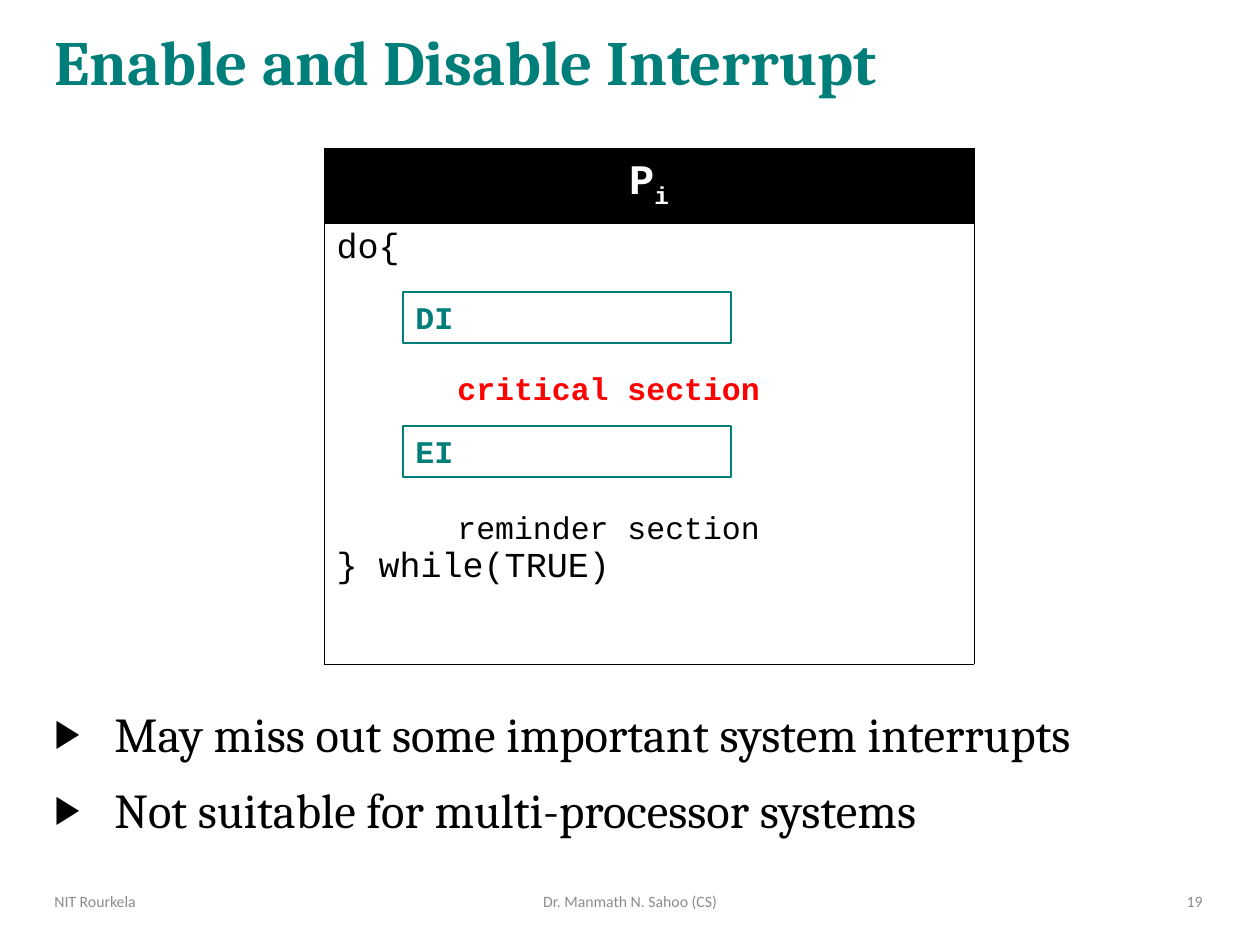
import pptx
import pptx.dml.color
import pptx.enum.shapes
import pptx.enum.text
import pptx.oxml
import pptx.oxml.ns
import pptx.util
from lxml import etree

RGBColor = pptx.dml.color.RGBColor
ALIGN = pptx.enum.text.PP_ALIGN
ANCHOR = pptx.enum.text.MSO_ANCHOR

TEAL = RGBColor(0x00, 0x7E, 0x7A)
BLACK = RGBColor(0, 0, 0)
WHITE = RGBColor(255, 255, 255)
RED = RGBColor(255, 0, 0)
GREY = RGBColor(0x8C, 0x8C, 0x8C)

HEADING = "Cambria"
CODE = "Courier New"
FOOTER = "Calibri"
EMU_PER_PX = 914400 / 126


def px(length):
    return pptx.util.Emu(round(length * EMU_PER_PX))


def format_runs(paragraph, font_name, size, color, bold=False):
    for run in paragraph.runs:
        run.font.name = font_name
        run.font.size = pptx.util.Pt(size)
        run.font.color.rgb = color
        run.font.bold = bold


def add_text(slide, box, text, font_name, size, color, bold=False,
             align=ALIGN.LEFT, anchor=ANCHOR.TOP, wrap=True):
    shape = slide.shapes.add_textbox(*map(px, box))
    text_frame = shape.text_frame
    text_frame.word_wrap = wrap
    text_frame.vertical_anchor = anchor
    text_frame.text = text
    for paragraph in text_frame.paragraphs:
        paragraph.alignment = align
        format_runs(paragraph, font_name, size, color, bold)
    return text_frame


def add_bullet(paragraph):
    properties = paragraph._p.get_or_add_pPr()
    properties.set("marL", str(px(60)))
    properties.set("indent", str(-px(60)))
    for tag, name, value in (("a:buSzPct", "val", "80000"),
                             ("a:buFont", "typeface", "Arial"),
                             ("a:buChar", "char", "▶")):
        element = etree.SubElement(properties, pptx.oxml.ns.qn(tag))
        element.set(name, value)


def add_bullets(slide, box, lines):
    text_frame = add_text(slide, box, "\n".join(lines), HEADING, 27.8, BLACK,
                          align=ALIGN.JUSTIFY)
    for paragraph in text_frame.paragraphs:
        add_bullet(paragraph)
        paragraph.space_after = pptx.util.Pt(10)


def set_borders(cell):
    properties = cell._tc.get_or_add_tcPr()
    for index, side in enumerate("LRTB"):
        properties.insert(index, pptx.oxml.parse_xml(
            f'<a:ln{side} {pptx.oxml.ns.nsdecls("a")} w="6350"><a:solidFill>'
            f'<a:srgbClr val="{BLACK}"/></a:solidFill></a:ln{side}>'))


def add_process_table(slide):
    frame = slide.shapes.add_table(2, 1, px(324), px(148), px(650), px(516))
    table = frame.table
    table.rows[0].height = px(75)
    table.rows[1].height = px(441)
    header, body = table.cell(0, 0), table.cell(1, 0)

    # Process name with its subscript
    header.fill.solid()
    header.fill.fore_color.rgb = BLACK
    header.vertical_anchor = ANCHOR.MIDDLE
    paragraph = header.text_frame.paragraphs[0]
    paragraph.alignment = ALIGN.CENTER
    paragraph.add_run().text = "P"
    subscript = paragraph.add_run()
    subscript.text = "i"
    format_runs(paragraph, CODE, 24, WHITE, bold=True)
    subscript._r.get_or_add_rPr().set("baseline", "-25000")

    # Loop, with room for the sections in between
    body.fill.background()
    body.text_frame.text = "do{\n} while(TRUE)"
    for paragraph in body.text_frame.paragraphs:
        format_runs(paragraph, CODE, 20, BLACK)
    body.text_frame.paragraphs[1].space_before = pptx.util.Pt(159.5)

    for cell in (header, body):
        set_borders(cell)


def add_instruction(slide, top, text):
    shape = slide.shapes.add_shape(pptx.enum.shapes.MSO_SHAPE.RECTANGLE,
                                   px(403), px(top), px(328), px(51))
    shape.shadow.inherit = False
    shape.fill.background()
    shape.line.color.rgb = TEAL
    shape.line.width = pptx.util.Pt(0.75)
    text_frame = shape.text_frame
    text_frame.word_wrap = True
    text_frame.vertical_anchor = ANCHOR.TOP
    text_frame.text = text
    paragraph = text_frame.paragraphs[0]
    paragraph.alignment = ALIGN.LEFT
    format_runs(paragraph, CODE, 18, TEAL, bold=True)


def main():
    presentation = pptx.Presentation()
    presentation.slide_width = px(1260)
    presentation.slide_height = px(945)
    slide = presentation.slides.add_slide(presentation.slide_layouts[6])

    # Title
    title = add_text(slide, (42, 5, 1172, 121), "Enable and Disable Interrupt",
                     HEADING, 36, TEAL, bold=True, anchor=ANCHOR.MIDDLE)
    title.paragraphs[0].line_spacing = 0.9

    # Drawbacks
    add_bullets(slide, (42, 698, 1172, 152),
                ["May miss out some important system interrupts",
                 "Not suitable for multi-processor systems"])

    # Process code
    add_process_table(slide)
    for top, text in ((292, "DI"), (426, "EI")):
        add_instruction(slide, top, text)
    for top, text, color, bold in ((363, "critical section", RED, True),
                                   (502, "reminder section", BLACK, False)):
        add_text(slide, (445, top, 329, 54), text, CODE, 18, color, bold,
                 wrap=False)

    # Footer
    for left, width, text, align in (
            (42, 328, "NIT Rourkela", ALIGN.LEFT),
            (417, 426, "Dr. Manmath N. Sahoo (CS)", ALIGN.CENTER),
            (916, 299, "19", ALIGN.RIGHT)):
        add_text(slide, (left, 876, width, 50), text, FOOTER, 9, GREY,
                 align=align, anchor=ANCHOR.MIDDLE)

    presentation.save("out.pptx")


if __name__ == "__main__":
    main()
